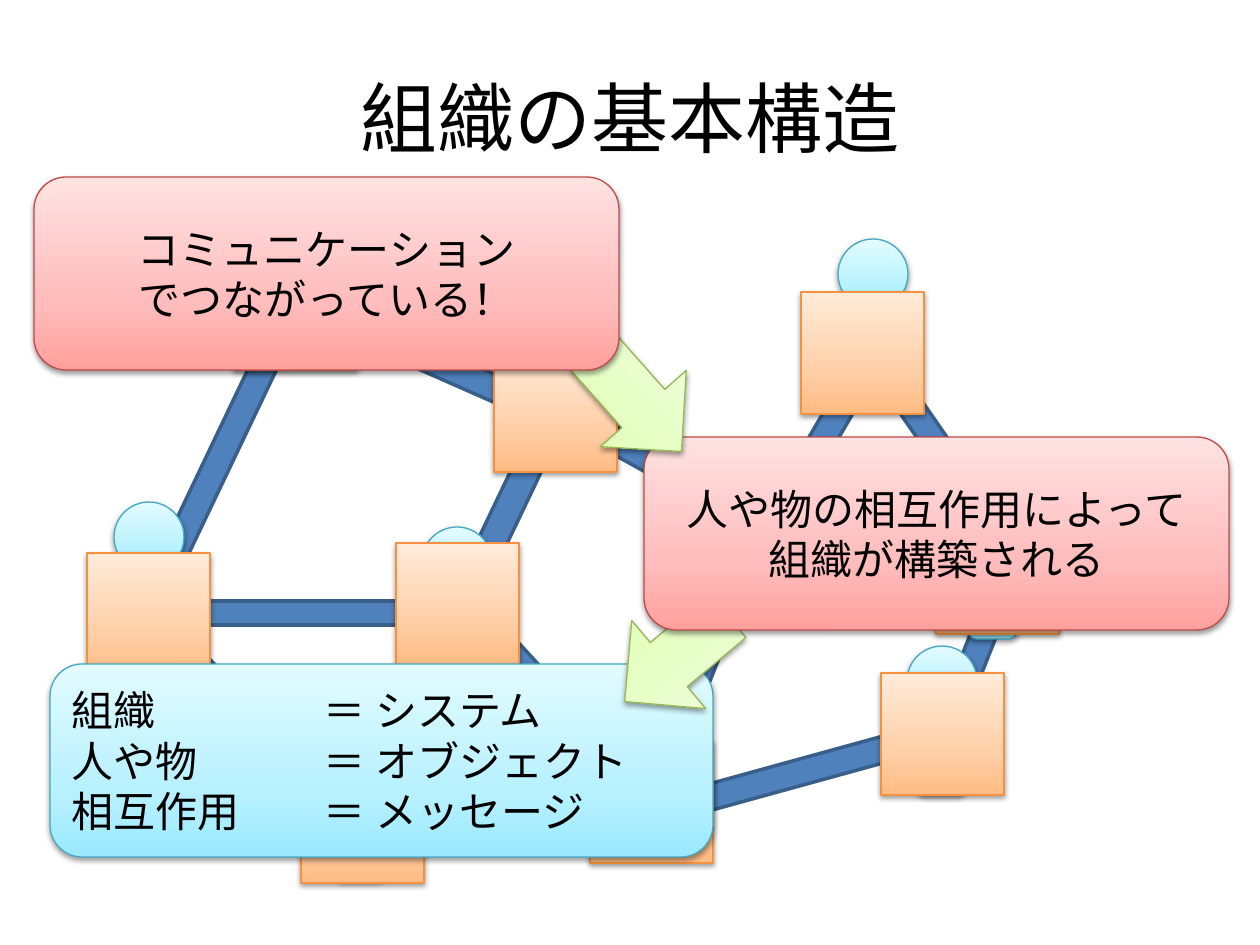
import copy

import pptx
import pptx.dml.color
import pptx.enum.shapes
import pptx.enum.text
import pptx.oxml
import pptx.oxml.ns
import pptx.util

PX = 914400 / 126  # EMU per pixel
RGB = pptx.dml.color.RGBColor
KIND = pptx.enum.shapes.MSO_SHAPE
ALIGN = pptx.enum.text.PP_ALIGN

BLACK = RGB(0x00, 0x00, 0x00)
LINK_FILL = RGB(0x4F, 0x81, 0xBD)
LINK_EDGE = RGB(0x39, 0x5E, 0x89)
# Each palette: outline, then gradient colours from bottom to top
AQUA = (RGB(0x45, 0xA9, 0xC4), RGB(0x9B, 0xE9, 0xFF), RGB(0xB8, 0xF1, 0xFF), RGB(0xE2, 0xFB, 0xFF))
ORANGE = (RGB(0xF5, 0x91, 0x3F), RGB(0xFF, 0xBB, 0x82), RGB(0xFF, 0xCF, 0xA8), RGB(0xFF, 0xEB, 0xD9))
GREEN = (RGB(0x97, 0xB8, 0x53), RGB(0xDA, 0xFE, 0xA4), RGB(0xE3, 0xFE, 0xBF), RGB(0xF4, 0xFE, 0xE6))
RED = (RGB(0xBD, 0x4B, 0x48), RGB(0xFF, 0xA0, 0x9D), RGB(0xFF, 0xBC, 0xBC), RGB(0xFF, 0xE2, 0xE2))

SHADOW = (
    f'<a:outerShdw {pptx.oxml.ns.nsdecls("a")} blurRad="40000" dist="20000" dir="5400000" rotWithShape="0">'
    '<a:srgbClr val="000000"><a:alpha val="38000"/></a:srgbClr></a:outerShdw>'
)

deck = pptx.Presentation()
deck.slide_width = pptx.util.Inches(10)
deck.slide_height = pptx.util.Inches(7.5)
slide = deck.slides.add_slide(deck.slide_layouts[6])


def add_glossy(kind, left, top, width, height, palette, angle=0):
    """Add a shape with a three-stop gradient, a thin outline and a soft shadow."""
    shape = slide.shapes.add_shape(kind, *(round(v * PX) for v in (left, top, width, height)))
    shape.rotation = angle
    edge, *shades = palette
    shape.fill.gradient()
    shape.fill.gradient_angle = 90
    first_stop = shape.fill.gradient_stops[0]._gs
    first_stop.addnext(copy.deepcopy(first_stop))
    for stop, position, shade in zip(shape.fill.gradient_stops, (0, 0.35, 1), shades):
        stop.position = position
        stop.color.rgb = shade
    shape.line.color.rgb = edge
    shape.line.width = pptx.util.Pt(0.75)
    shape.shadow.inherit = False
    effects = shape._element.spPr.find(pptx.oxml.ns.qn("a:effectLst"))
    effects.append(pptx.oxml.parse_xml(SHADOW))
    return shape


def write_lines(shape, lines, size, align, tab_stop=None):
    frame = shape.text_frame
    frame.word_wrap = True
    frame.vertical_anchor = pptx.enum.text.MSO_ANCHOR.MIDDLE
    for number, line in enumerate(lines):
        paragraph = frame.add_paragraph() if number else frame.paragraphs[0]
        paragraph.alignment = align
        if tab_stop:
            paragraph._p.get_or_add_pPr().append(pptx.oxml.parse_xml(
                f'<a:tabLst {pptx.oxml.ns.nsdecls("a")}>'
                f'<a:tab pos="{round(tab_stop * PX)}" algn="l"/></a:tabLst>'))
        run = paragraph.add_run()
        run.text = line
        run.font.name = "Calibri"
        run.font.size = pptx.util.Pt(size)
        run.font.color.rgb = BLACK


# Links between members: left, top, length, thickness, angle
links = [
    (79, 440, 287, 26, 295.5),
    (110, 707, 287, 26, 44.1),
    (369, 512, 262, 28, 295.5),
    (282, 345, 287, 26, 23.8),
    (340, 799, 330, 30, 0),
    (137, 601, 324, 24, 180),
    (425, 703, 287, 26, 227.3),
    (553, 667, 287, 26, 291.7),
    (527, 444, 236, 26, 28.9),
    (669, 444, 287, 26, 300.3),
    (736, 559, 280, 28, 7.3),
    (658, 759, 287, 26, 344.6),
    (891, 659, 156, 25, 291.7),
    (809, 422, 242, 25, 235.3),
]
for *place, angle in links:
    link = slide.shapes.add_shape(KIND.RECTANGLE, *(round(v * PX) for v in place))
    link.rotation = angle
    link.fill.solid()
    link.fill.fore_color.rgb = LINK_FILL
    link.line.color.rgb = LINK_EDGE
    link.line.width = pptx.util.Pt(2)
    link.shadow.inherit = False

title = slide.shapes.add_textbox(*(round(v * PX) for v in (63, 38, 1134, 158)))
write_lines(title, ["組織の基本構造"], 44, ALIGN.CENTER)

# People, placed by the top left corner of the head
people = [(114, 502), (838, 239), (625, 692), (326, 731), (520, 302),
          (253, 204), (422, 527), (958, 490), (719, 447), (907, 646)]
for left, top in people:
    add_glossy(KIND.ROUNDED_RECTANGLE, left + 10, top + 49, 49, 100, AQUA)
    add_glossy(KIND.OVAL, left, top, 70, 70, AQUA)

things = [(234, 248), (87, 553), (301, 761), (396, 543), (494, 350),
          (590, 741), (694, 476), (801, 292), (936, 512), (881, 673)]
for left, top in things:
    add_glossy(KIND.RECTANGLE, left, top, 123, 122, ORANGE)

terms = add_glossy(KIND.ROUNDED_RECTANGLE, 50, 664, 663, 193, AQUA)
write_lines(terms, ["組織\t＝ システム", "人や物\t＝ オブジェクト", "相互作用\t＝ メッセージ"],
            24, ALIGN.LEFT, tab_stop=252)

add_glossy(KIND.RIGHT_ARROW, 609, 601, 134, 115, GREEN, 140)
interaction = add_glossy(KIND.ROUNDED_RECTANGLE, 644, 437, 585, 193, RED)
write_lines(interaction, ["人や物の相互作用によって", "組織が構築される"], 24, ALIGN.CENTER)

add_glossy(KIND.RIGHT_ARROW, 570, 344, 134, 115, GREEN, 48.4)
communication = add_glossy(KIND.ROUNDED_RECTANGLE, 34, 177, 585, 193, RED)
write_lines(communication, ["コミュニケーション", "でつながっている！"], 24, ALIGN.CENTER)

deck.save("out.pptx")
